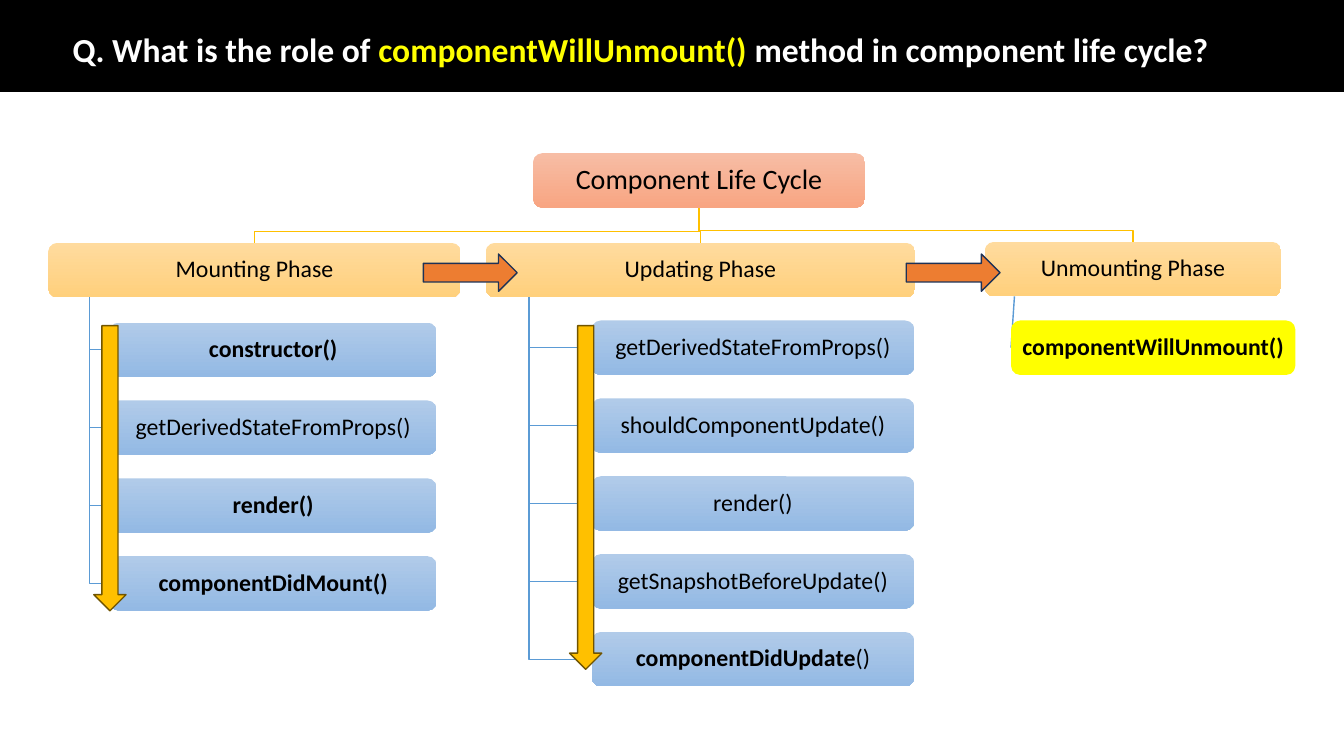
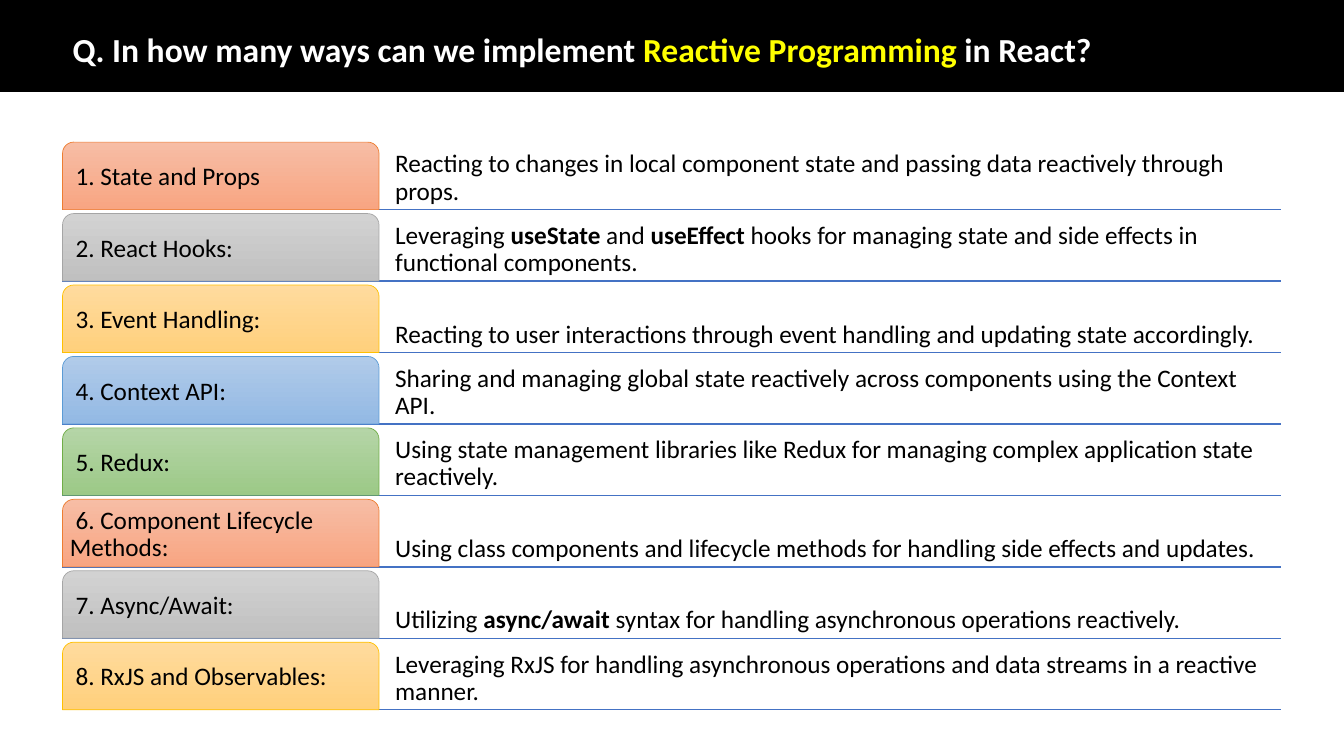
"""Build two React question slides: the component life cycle and reactive programming."""
from lxml.etree import SubElement
from pptx import Presentation
from pptx.dml.color import RGBColor
from pptx.enum.shapes import MSO_CONNECTOR, MSO_SHAPE
from pptx.enum.text import MSO_ANCHOR, MSO_AUTO_SIZE, PP_ALIGN
from pptx.oxml.ns import qn
from pptx.util import Emu, Inches, Pt

BLACK = RGBColor(0x00, 0x00, 0x00)
WHITE = RGBColor(0xFF, 0xFF, 0xFF)
YELLOW = RGBColor(0xFF, 0xFF, 0x00)
ORANGE = RGBColor(0xED, 0x7D, 0x31)
GRAY = RGBColor(0xA5, 0xA5, 0xA5)
GOLD = RGBColor(0xFF, 0xC0, 0x00)
BLUE = RGBColor(0x5B, 0x9B, 0xD5)
GREEN = RGBColor(0x70, 0xAD, 0x47)
RULE_BLUE = RGBColor(0x44, 0x72, 0xC4)
NAVY = RGBColor(0x1E, 0x32, 0x56)
BROWN = RGBColor(0x70, 0x54, 0x00)
SHADES = {
    ORANGE: [RGBColor(0xF7, 0xBD, 0xA5), RGBColor(0xF8, 0xA5, 0x82)],
    GRAY: [RGBColor(0xD2, 0xD2, 0xD2), RGBColor(0xC0, 0xC0, 0xC0)],
    GOLD: [RGBColor(0xFF, 0xDB, 0x9E), RGBColor(0xFF, 0xD0, 0x7C)],
    BLUE: [RGBColor(0xB1, 0xCB, 0xE9), RGBColor(0x93, 0xB9, 0xE4)],
    GREEN: [RGBColor(0xB5, 0xD5, 0xA7), RGBColor(0x9C, 0xC9, 0x87)],
}

deck = Presentation()
deck.slide_width = Inches(13.333)
deck.slide_height = Inches(7.5)
COL = deck.slide_width / 100
ROW = deck.slide_height / 100


def block(slide, kind, left, top, width, height, shades, border=None, weight=1):
    """Add a preset shape on the percent grid with a plain or graded fill."""
    shape = slide.shapes.add_shape(
        kind, Emu(left * COL), Emu(top * ROW), Emu(width * COL), Emu(height * ROW))
    shape.shadow.inherit = False
    if len(shades) == 1:
        shape.fill.solid()
        shape.fill.fore_color.rgb = shades[0]
    else:
        shape.fill.gradient()
        shape.fill.gradient_angle = 270
        for stop, shade in zip(shape.fill.gradient_stops, shades):
            stop.color.rgb = shade
    if border is None:
        shape.line.fill.background()
    else:
        shape.line.color.rgb = border
        shape.line.width = Pt(weight)
    return shape


def write(shape, marked, size, align, anchor, margin, plain=(BLACK, False), strong=(BLACK, True)):
    """Write runs split at bars, giving every second one the strong style."""
    frame = shape.text_frame
    frame.word_wrap = True
    frame.auto_size = MSO_AUTO_SIZE.NONE
    frame.vertical_anchor = anchor
    frame.margin_left = frame.margin_right = Inches(margin)
    frame.margin_top = frame.margin_bottom = Inches(min(margin, 0.05))
    paragraph = frame.paragraphs[0]
    paragraph.alignment = align
    paragraph.line_spacing = 0.9
    for index, words in enumerate(marked.split("|")):
        if words:
            run = paragraph.add_run()
            run.text = words
            run.font.name = "Calibri"
            run.font.size = Pt(size)
            run.font.color.rgb, run.font.bold = strong if index % 2 else plain


questions = [
    ("Q. What is the role of |componentWillUnmount()| method in component life cycle?", 86.25),
    ("Q. In how many ways can we implement |Reactive Programming| in React?", 91.35),
]
for question, width in questions:
    slide = deck.slides.add_slide(deck.slide_layouts[5])
    band = block(slide, MSO_SHAPE.RECTANGLE, 0, 0, 100, 12.13, [BLACK], BLACK)
    title = slide.shapes.title
    title._element.addprevious(band._element)
    title.left, title.top = Emu(4.65 * COL), Emu(4.53 * ROW)
    title.width, title.height = Emu(width * COL), Emu(4.67 * ROW)
    write(title, question, 24, PP_ALIGN.LEFT, MSO_ANCHOR.MIDDLE, 0.1,
          (WHITE, True), (YELLOW, True))
life_cycle, reactive_ways = deck.slides

BOX_HEIGHT = 7.2
METHOD_STEP = 10.3
ROOT = (39.68, 20.27, 24.68, BOX_HEIGHT)
phases = [
    ("Mounting Phase", (3.6, 32.13, 30.68), (8.18, 42.67, 24.3), SHADES[BLUE],
     ["|constructor()|", "getDerivedStateFromProps()", "|render()|", "|componentDidMount()|"]),
    ("Updating Phase", (36.15, 32.13, 31.95), (44.03, 42.4, 24), SHADES[BLUE],
     ["getDerivedStateFromProps()", "shouldComponentUpdate()", "render()",
      "getSnapshotBeforeUpdate()", "|componentDidUpdate|()"]),
    ("Unmounting Phase", (73.28, 32, 22.05), (75.23, 42.4, 21.15), [YELLOW],
     ["|componentWillUnmount()|"]),
]

boxes = [("Component Life Cycle", 20, ROOT, SHADES[ORANGE])]
branches = []
root_center, root_bottom = ROOT[0] + ROOT[2] / 2, ROOT[1] + BOX_HEIGHT
for phase, (left, top, width), (method_left, first_top, method_width), shades, methods in phases:
    boxes.append((phase, 17, (left, top, width, BOX_HEIGHT), SHADES[GOLD]))
    center, elbow = left + width / 2, top - 1.5
    branches.append((GOLD, [(root_center, root_bottom), (root_center, elbow),
                            (center, elbow), (center, top)]))
    stem = left + width / 10
    for index, method in enumerate(methods):
        method_top = first_top + index * METHOD_STEP
        middle = method_top + BOX_HEIGHT / 2
        boxes.append((method, 17, (method_left, method_top, method_width, BOX_HEIGHT), shades))
        branches.append((BLUE, [(stem, top + BOX_HEIGHT), (min(stem, method_left), middle),
                                (method_left, middle)]))

for color, points in branches:
    start, *corners = [(Emu(x * COL), Emu(y * ROW)) for x, y in points]
    outline = life_cycle.shapes.build_freeform(*start)
    outline.add_line_segments(corners, close=False)
    branch = outline.convert_to_shape()
    branch.shadow.inherit = False
    branch.fill.background()
    branch.line.color.rgb = color
    branch.line.width = Pt(1)

for label, size, place, shades in boxes:
    box = block(life_cycle, MSO_SHAPE.FLOWCHART_ALTERNATE_PROCESS, *place, shades)
    write(box, label, size, PP_ALIGN.CENTER, MSO_ANCHOR.MIDDLE, 0.01)

for left in (31.5, 67.43):
    block(life_cycle, MSO_SHAPE.RIGHT_ARROW, left, 33.6, 6.98, 4.93, [ORANGE], NAVY)
for left, length in ((6.98, 37.73), (42.38, 45.47)):
    block(life_cycle, MSO_SHAPE.DOWN_ARROW, left, 43.07, 2.4, length, [GOLD], BROWN)

ways = [
    (" 1. State and Props", ORANGE,
     "Reacting to changes in local component state and passing data reactively through props."),
    (" 2. React Hooks:", GRAY,
     "Leveraging |useState| and |useEffect| hooks for managing state and side effects"
     " in functional components."),
    (" 3. Event Handling:", GOLD,
     "Reacting to user interactions through event handling and updating state accordingly."),
    (" 4. Context API:", BLUE,
     "Sharing and managing global state reactively across components using the Context API."),
    (" 5. Redux:", GREEN,
     "Using state management libraries like Redux for managing complex application state"
     " reactively."),
    (" 6. Component Lifecycle Methods:", ORANGE,
     "Using class components and lifecycle methods for handling side effects and updates."),
    (" 7. Async/Await:", GRAY,
     "Utilizing |async/await| syntax for handling asynchronous operations reactively."),
    (" 8. RxJS and Observables:", GOLD,
     "Leveraging RxJS for handling asynchronous operations and data streams in a reactive"
     " manner."),
]
TAB_LEFT, TAB_HEIGHT, WAY_STEP = 4.65, 8.93, 9.45
for index, (way, color, explanation) in enumerate(ways):
    top = 18.8 + index * WAY_STEP
    base = Emu((top + TAB_HEIGHT) * ROW)
    rule = reactive_ways.shapes.add_connector(
        MSO_CONNECTOR.STRAIGHT, Emu(TAB_LEFT * COL), base, Emu(95.33 * COL), base)
    rule.line.color.rgb = RULE_BLUE
    rule.line.width = Pt(1)
    SubElement(rule._element.spPr, qn("a:effectLst"))
    details = reactive_ways.shapes.add_textbox(
        Emu(29.1 * COL), Emu(top * ROW), Emu(65.4 * COL), Emu(TAB_HEIGHT * ROW))
    write(details, explanation, 18, PP_ALIGN.LEFT, MSO_ANCHOR.BOTTOM, 0.04)
    tab = block(reactive_ways, MSO_SHAPE.ROUND_2_SAME_RECTANGLE, TAB_LEFT, top, 23.55,
                TAB_HEIGHT, SHADES[color], color, 0.5)
    write(tab, way, 18, PP_ALIGN.LEFT, MSO_ANCHOR.MIDDLE, 0.04)

deck.save("out.pptx")
